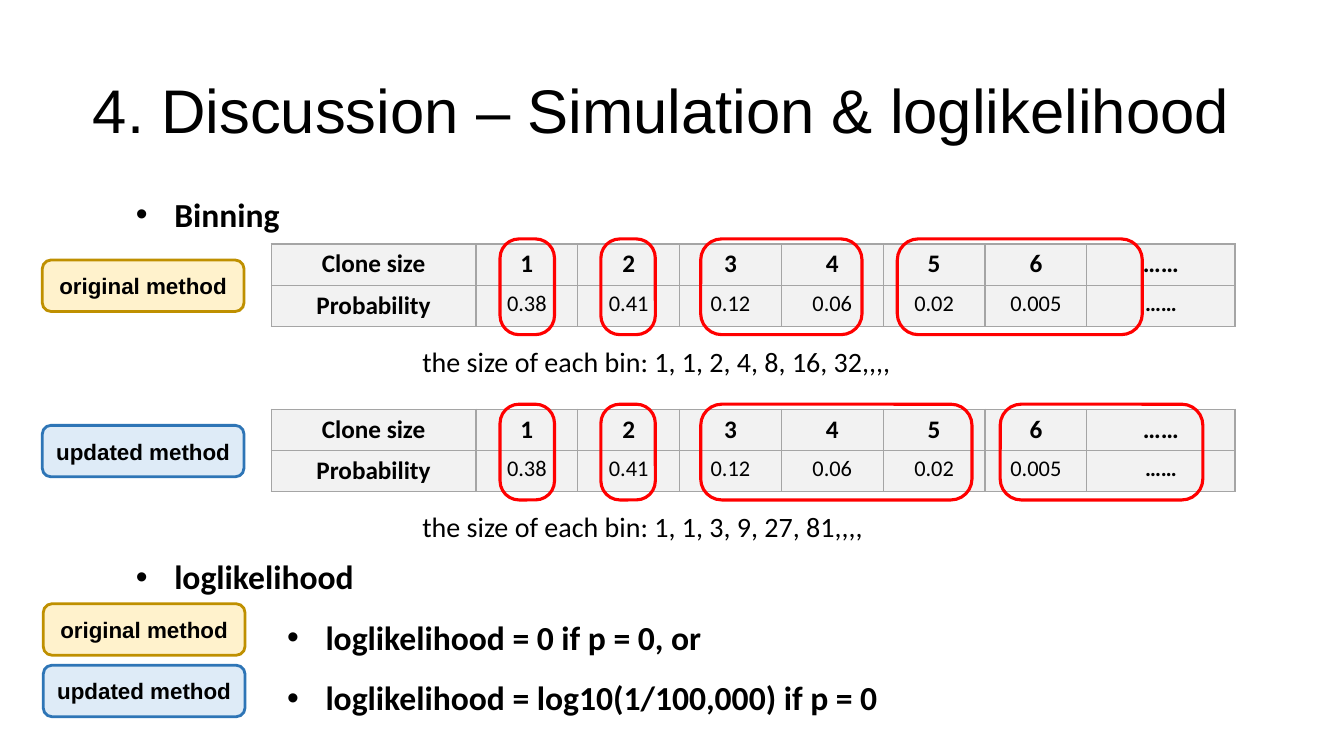
from lxml import etree
from pptx import Presentation
from pptx.dml.color import RGBColor
from pptx.enum.shapes import MSO_SHAPE
from pptx.enum.text import MSO_ANCHOR, PP_ALIGN
from pptx.oxml.ns import qn
from pptx.util import Emu, Pt

ROUNDED = MSO_SHAPE.ROUNDED_RECTANGLE
MIDDLE = MSO_ANCHOR.MIDDLE
CENTER = PP_ALIGN.CENTER
EMU_PER_PX = 9144  # 100 px to the inch

BLACK, RED = "000000", "FF0000"
CELL_FILL, CELL_BORDER = "F2F2F2", "A5A5A5"
ORIGINAL = ("original method", "FFF2CC", "BF9000")
UPDATED = ("updated method", "DEEBF7", "2E75B6")

CLONE_ROWS = [
    ["Clone size", "1", "2", "3", "4", "5", "6", "……"],
    ["Probability", "0.38", "0.41", "0.12", "0.06", "0.02", "0.005", "……"],
]
COLUMN_WIDTHS = [203] + [101] * 6 + [147]
ROW_HEIGHT = 41
BULLETS = [  # text, left indent, points of space before
    ("Binning", 38, 0),
    ("loglikelihood", 38, 216),
    ("loglikelihood = 0 if p = 0, or", 188, 0),
    ("loglikelihood = log10(1/100,000) if p = 0", 188, 0),
]
# top of table, method, (left, width) of each bin, caption
BINNINGS = [
    (242, ORIGINAL, [(496, 54), (596, 54), (695, 160), (890, 243)],
     "the size of each bin: 1, 1, 2, 4, 8, 16, 32,,,,"),
    (406, UPDATED, [(496, 54), (596, 54), (695, 269), (992, 201)],
     "the size of each bin: 1, 1, 3, 9, 27, 81,,,,"),
]


def px(length):
    return Emu(length * EMU_PER_PX)


def place(*lengths):
    return [px(length) for length in lengths]


def color(hex_string):
    return RGBColor.from_string(hex_string)


def add_span(para, text, size, font="Calibri", bold=False):
    span = para.add_run()
    span.text = text
    span.font.name = font
    span.font.size = Pt(size)
    span.font.bold = bold
    span.font.color.rgb = color(BLACK)


def add_title(slide, text):
    title = slide.shapes.title
    title.left, title.top, title.width, title.height = place(92, 40, 1150, 145)
    frame = title.text_frame
    frame.margin_left = frame.margin_right = 0
    frame.margin_top = frame.margin_bottom = 0
    frame.vertical_anchor = MIDDLE
    para = frame.paragraphs[0]
    para.alignment = PP_ALIGN.LEFT
    para.line_spacing = 0.9
    add_span(para, text, 44, "Arial")


def add_bullets(slide):
    box = slide.shapes.add_textbox(*place(125, 167, 762, 549))
    frame = box.text_frame
    frame.word_wrap = True
    for number, (text, indent, space) in enumerate(BULLETS):
        para = frame.add_paragraph() if number else frame.paragraphs[0]
        para.line_spacing = 1.5
        para.space_before = Pt(space)
        properties = para._p.get_or_add_pPr()
        properties.set("marL", str(px(indent)))
        properties.set("indent", str(px(-38)))
        etree.SubElement(properties, qn("a:buFont"), typeface="Arial")
        etree.SubElement(properties, qn("a:buChar"), char="•")
        add_span(para, text, 24, bold=True)


def add_borders(cell):
    properties = cell._tc.get_or_add_tcPr()
    for side in ("a:lnL", "a:lnR", "a:lnT", "a:lnB"):
        line = etree.SubElement(properties, qn(side), w=str(Pt(0.96)))
        fill = etree.SubElement(line, qn("a:solidFill"))
        etree.SubElement(fill, qn("a:srgbClr"), val=CELL_BORDER)


def add_clone_table(slide, top):
    frame = slide.shapes.add_table(
        len(CLONE_ROWS), len(COLUMN_WIDTHS),
        *place(269, top, sum(COLUMN_WIDTHS), ROW_HEIGHT * len(CLONE_ROWS)))
    table = frame.table
    for column, width in zip(table.columns, COLUMN_WIDTHS):
        column.width = px(width)
    last = len(COLUMN_WIDTHS) - 1
    for r, texts in enumerate(CLONE_ROWS):
        table.rows[r].height = px(ROW_HEIGHT)
        for c, text in enumerate(texts):
            cell = table.cell(r, c)
            add_borders(cell)
            cell.fill.solid()
            cell.fill.fore_color.rgb = color(CELL_FILL)
            para = cell.text_frame.paragraphs[0]
            para.alignment = CENTER
            size = 16 if r and c else 18
            add_span(para, text, size, bold=r == 0 or c in (0, last))


def add_rounded(slide, left, top, width, height, line, line_width):
    shape = slide.shapes.add_shape(ROUNDED, *place(left, top, width, height))
    shape.shadow.inherit = False
    shape.fill.background()
    shape.line.color.rgb = color(line)
    shape.line.width = Pt(line_width)
    return shape


def add_bin(slide, left, top, width):
    """Draw the red ring round the clone sizes that share a bin."""
    ring = add_rounded(slide, left, top, width, 95, RED, 2.25)
    ring.adjustments[0] = 0.35 if width < 95 else 0.22


def add_method(slide, left, top, method):
    text, fill, line = method
    label = add_rounded(slide, left, top, 200, 51, line, 2)
    label.fill.solid()
    label.fill.fore_color.rgb = color(fill)
    frame = label.text_frame
    frame.word_wrap = True
    frame.vertical_anchor = MIDDLE
    para = frame.paragraphs[0]
    para.alignment = CENTER
    add_span(para, text, 16, "Arial", bold=True)


def add_caption(slide, top, text):
    box = slide.shapes.add_textbox(*place(409, top, 603, 43))
    box.text_frame.word_wrap = True
    add_span(box.text_frame.paragraphs[0], text, 20)


def main():
    deck = Presentation()
    deck.slide_width, deck.slide_height = place(1333, 750)
    slide = deck.slides.add_slide(deck.slide_layouts[5])
    add_title(slide, "4. Discussion – Simulation & loglikelihood")
    add_bullets(slide)
    for top, method, bins, caption in BINNINGS:
        add_clone_table(slide, top)
        for left, width in bins:
            add_bin(slide, left, top - 5, width)
        add_caption(slide, top + 95, caption)
        add_method(slide, 42, top + 16, method)
    add_method(slide, 43, 599, ORIGINAL)
    add_method(slide, 43, 660, UPDATED)
    deck.save("out.pptx")


if __name__ == "__main__":
    main()
